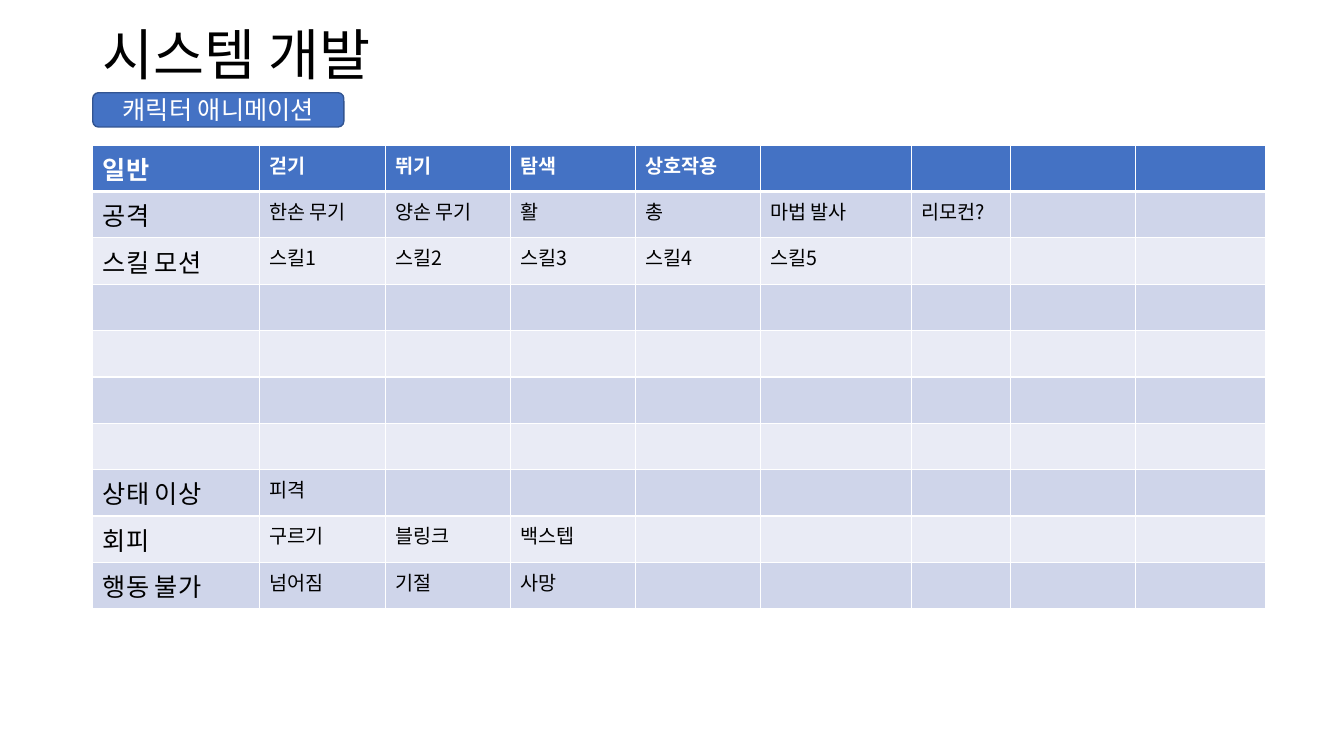
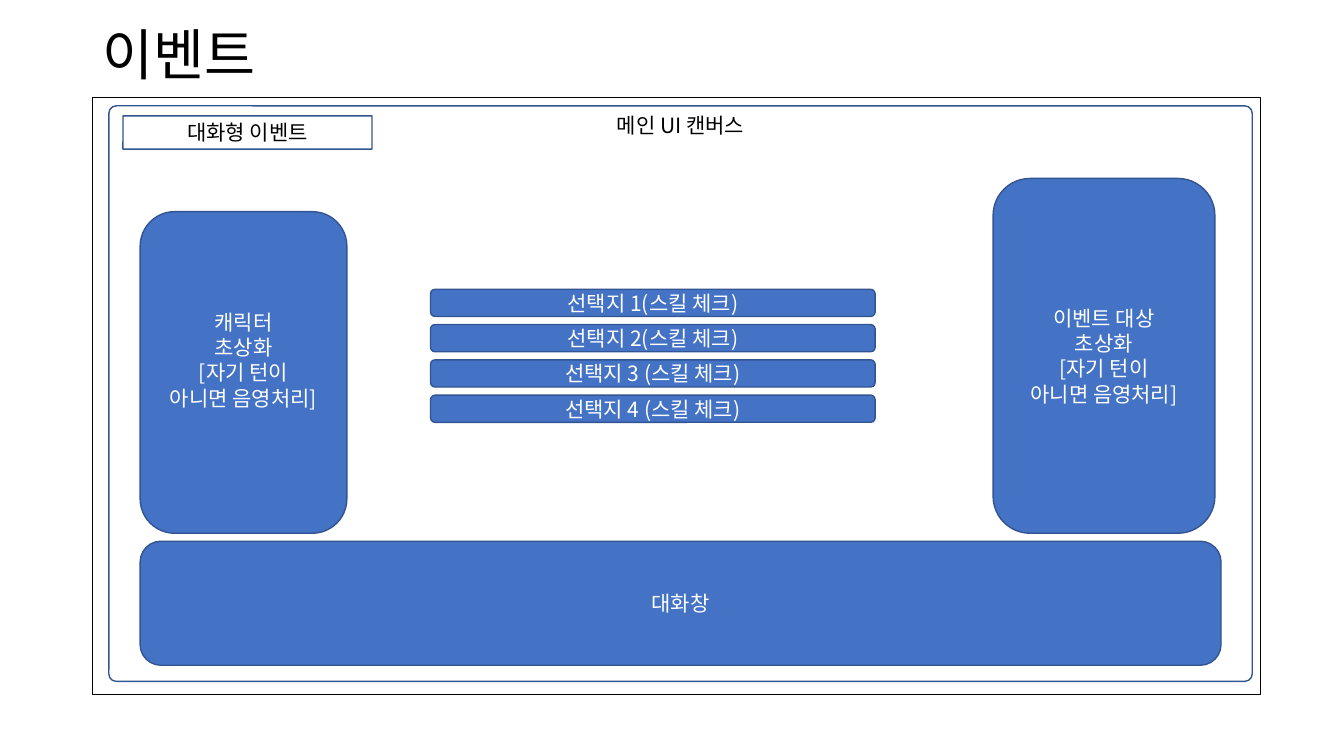
import dataclasses

import lxml.etree
import pptx
import pptx.dml.color
import pptx.enum.shapes
import pptx.enum.text
import pptx.oxml.ns
import pptx.util

Inches = pptx.util.Inches
Pt = pptx.util.Pt
Shape = pptx.enum.shapes.MSO_SHAPE
Align = pptx.enum.text.PP_ALIGN
Anchor = pptx.enum.text.MSO_ANCHOR
qn = pptx.oxml.ns.qn


@dataclasses.dataclass(frozen=True)
class Theme:
    font: str = "Noto Sans CJK KR"
    black: str = "000000"
    white: str = "FFFFFF"
    accent: str = "4472C4"
    outline: str = "325491"
    bands: tuple = ("CFD5EA", "E9EBF5")
    title_size: float = 39.6
    heading_size: float = 18
    body_size: float = 15
    cell_size: float = 14
    line_width: float = 1
    header_rule: float = 3
    left: float = 0.92


def rgb(color):
    return pptx.dml.color.RGBColor.from_string(color)


class SlideBuilder:
    def __init__(self, theme):
        self.theme = theme
        self.deck = pptx.Presentation()
        self.deck.slide_width = Inches(13.33)
        self.deck.slide_height = Inches(7.5)
        self.page = None

    def new_page(self, title):
        self.page = self.deck.slides.add_slide(self.deck.slide_layouts[6])
        box = self.page.shapes.add_textbox(
            Inches(self.theme.left), Inches(0.4), Inches(9.14), Inches(0.35)
        )
        self.set_text(box.text_frame, title, self.theme.title_size, self.theme.black, Align.LEFT)
        box.text_frame.vertical_anchor = Anchor.MIDDLE
        box.text_frame.paragraphs[0].line_spacing = 0.9

    def set_text(self, frame, text, size, color, align, bold=False):
        frame.word_wrap = True
        frame.text = text
        for para in frame.paragraphs:
            para.alignment = align
            para.font.size = Pt(size)
            para.font.bold = bold
            para.font.name = self.theme.font
            para.font.color.rgb = rgb(color)
            defaults = para._p.pPr.find(qn("a:defRPr"))
            east_asian = lxml.etree.SubElement(defaults, qn("a:ea"))
            east_asian.set("typeface", self.theme.font)

    def panel(self, left, top, width, height, text="", *, kind=Shape.ROUNDED_RECTANGLE,
              fill=None, line=None, color=None, size=None, anchor=Anchor.MIDDLE, corner=None):
        theme = self.theme
        shape = self.page.shapes.add_shape(
            kind, Inches(left), Inches(top), Inches(width), Inches(height)
        )
        shape.shadow.inherit = False
        if corner is not None:
            shape.adjustments[0] = corner
        if fill:
            shape.fill.solid()
            shape.fill.fore_color.rgb = rgb(fill)
        else:
            shape.fill.background()
        shape.line.color.rgb = rgb(line or theme.outline)
        shape.line.width = Pt(theme.line_width)
        if text:
            self.set_text(shape.text_frame, text, size or theme.body_size,
                          color or theme.black, Align.CENTER)
            shape.text_frame.vertical_anchor = anchor
        return shape

    def block(self, left, top, width, height, text, size=None):
        return self.panel(left, top, width, height, text, size=size,
                          fill=self.theme.accent, color=self.theme.white)

    def cell_borders(self, cell, widths):
        properties = cell._tc.get_or_add_tcPr()
        for side, width in widths.items():
            line = lxml.etree.SubElement(properties, qn(f"a:ln{side}"), w=str(Pt(width)))
            fill = lxml.etree.SubElement(line, qn("a:solidFill"))
            lxml.etree.SubElement(fill, qn("a:srgbClr"), val=self.theme.white)

    def table(self, top, column_widths, row_height, rows):
        theme = self.theme
        frame = self.page.shapes.add_table(
            len(rows), len(column_widths), Inches(theme.left), Inches(top),
            Inches(sum(column_widths)), Inches(row_height * len(rows))
        )
        grid = frame.table
        grid.horz_banding = False
        for column, width in zip(grid.columns, column_widths):
            column.width = Inches(width)
        for row_index, labels in enumerate(rows):
            grid.rows[row_index].height = Inches(row_height)
            header = row_index == 0
            fill = theme.accent if header else theme.bands[(row_index - 1) % 2]
            borders = dict.fromkeys("LRTB", theme.line_width)
            if header:
                borders["B"] = theme.header_rule
            elif row_index == 1:
                borders["T"] = theme.header_rule
            for column_index in range(len(column_widths)):
                cell = grid.cell(row_index, column_index)
                text = labels[column_index] if column_index < len(labels) else ""
                size = theme.cell_size if column_index else theme.heading_size
                color = theme.white if header else theme.black
                self.set_text(cell.text_frame, text, size, color, Align.LEFT, header)
                self.cell_borders(cell, borders)
                cell.fill.solid()
                cell.fill.fore_color.rgb = rgb(fill)


def build_animation_page(builder):
    builder.new_page("시스템 개발")
    builder.block(builder.theme.left, 0.92, 2.49, 0.34, "캐릭터 애니메이션",
                  builder.theme.heading_size)
    motions = [
        ["일반", "걷기", "뛰기", "탐색", "상호작용"],
        ["공격", "한손 무기", "양손 무기", "활", "총", "마법 발사", "리모컨?"],
        ["스킬 모션"] + [f"스킬{number}" for number in range(1, 6)],
        *[[] for _ in range(4)],
        ["상태 이상", "피격"],
        ["회피", "구르기", "블링크", "백스텝"],
        ["행동 불가", "넘어짐", "기절", "사망"],
    ]
    builder.table(1.44, [1.65, 1.25, 1.24, 1.24, 1.24, 1.5, 0.98, 1.24, 1.29], 0.46, motions)


def build_event_page(builder):
    theme = builder.theme
    builder.new_page("이벤트")
    builder.panel(theme.left, 0.97, 11.58, 5.92, kind=Shape.RECTANGLE, line=theme.black)
    builder.panel(1.08, 1.05, 11.34, 5.71, "메인 UI 캔버스", anchor=Anchor.TOP, corner=0.013)
    builder.panel(1.22, 1.15, 2.47, 0.33, "대화형 이벤트", corner=0.013)

    portrait_note = "초상화\n[자기 턴이\n아니면 음영처리]"
    character = builder.block(1.39, 2.1, 2.05, 3.19, f"캐릭터\n{portrait_note}")
    character.text_frame.margin_bottom = Inches(0.3)
    builder.block(9.85, 1.77, 2.2, 3.52, f"이벤트 대상\n{portrait_note}")

    choices = ["1(스킬 체크)", "2(스킬 체크)", "3 (스킬 체크)", "4 (스킬 체크)"]
    for index, choice in enumerate(choices):
        builder.block(4.27, 2.87 + 0.35 * index, 4.41, 0.27, f"선택지 {choice}")
    builder.block(1.39, 5.37, 10.72, 1.23, "대화창")


def main():
    builder = SlideBuilder(Theme())
    build_animation_page(builder)
    build_event_page(builder)
    builder.deck.save("out.pptx")


if __name__ == "__main__":
    main()
